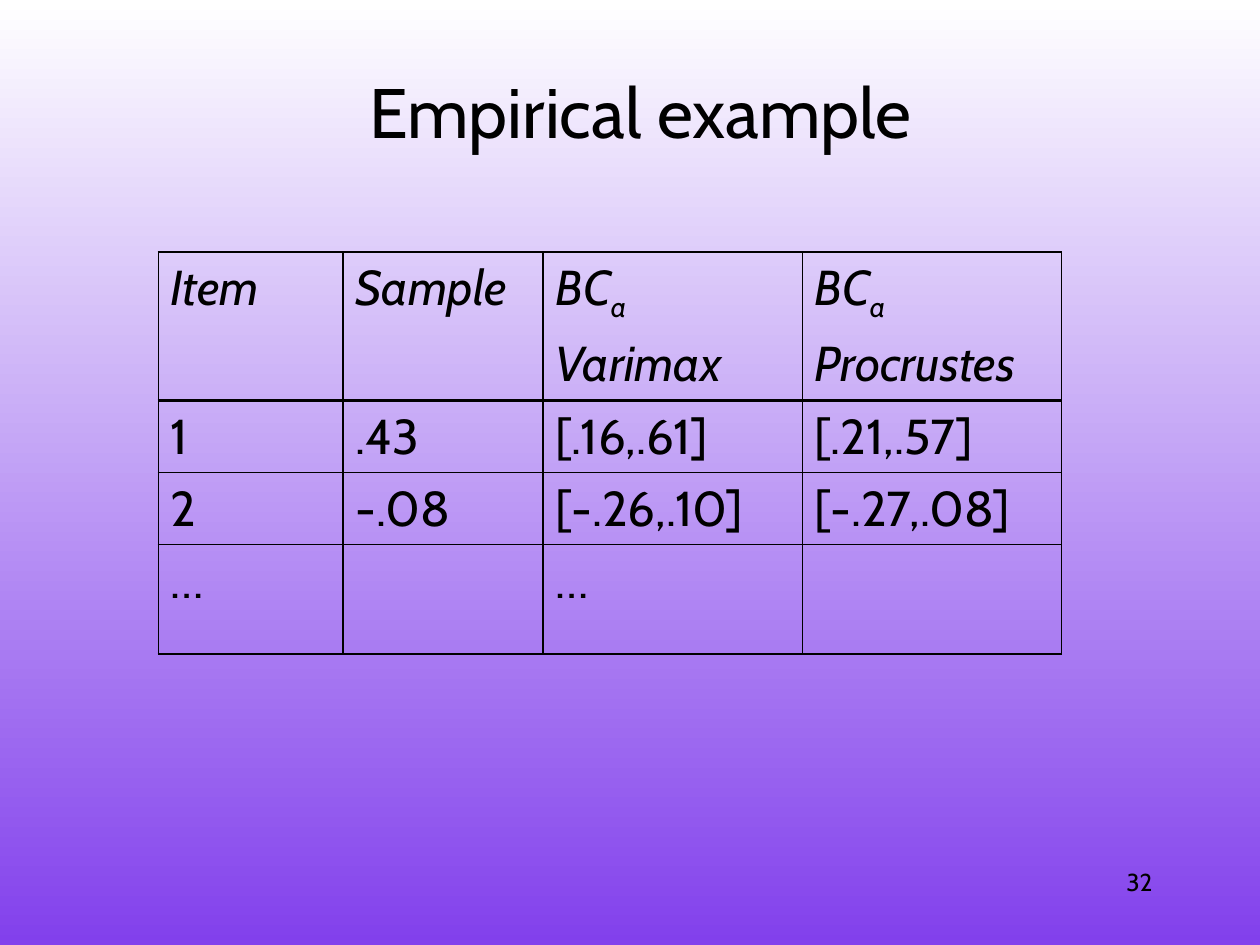
from lxml import etree
from pptx import Presentation
from pptx import util as u
from pptx.dml.color import RGBColor
from pptx.enum import text
from pptx.oxml.ns import qn

PX = u.Inches(1) // 126
FONT, INK = "Cabin", "000000"
SKY = ("FFFFFF", "8240EC")
TITLE, PAGE = "Empirical example", "32"

# Each cell lists its paragraphs, each paragraph its (text, subscript) parts.
HEAD = [
    [("Item", "")],
    [("Sample", "")],
    [("BC", "a"), ("Varimax", "")],
    [("BC", "a"), ("Procrustes", "")],
]
BODY = [
    ["1", ".43", "[.16,.61]", "[.21,.57]"],
    ["2", "-.08", "[-.26,.10]", "[-.27,.08]"],
    ["…", "", "…", ""],
]
ROWS = [HEAD] + [[[(word, "")] for word in row] for row in BODY]
COLS = [185, 200, 259, 259]
HIGHS = [141, 72, 72, 109]
# Line widths in points, one for each grid line
DOWN = [0.34, 1.47, 1.47, 0.34, 0.34]
ACROSS = [0.96, 1.47, 0.34, 0.45, 0.96]


def hue(code):
    return RGBColor.from_string(code)


def box(*sides):
    return [side * PX for side in sides]


def style(para, size, italic=False):
    font = para.font
    font.name, font.size, font.italic = FONT, u.Pt(size), italic
    font.color.rgb = hue(INK)


def border(cell, side, width):
    line = etree.SubElement(cell._tc.get_or_add_tcPr(), qn("a:ln" + side),
                            w=str(u.Pt(width)))
    fill = etree.SubElement(line, qn("a:solidFill"))
    etree.SubElement(fill, qn("a:srgbClr"), val=INK)


def write(cell, lines, italic):
    frame = cell.text_frame
    for i, (word, sub) in enumerate(lines):
        para = frame.add_paragraph() if i else frame.paragraphs[0]
        style(para, 28, italic)
        if i:
            para.space_before = u.Pt(5.6)
        if word:
            para.add_run().text = word
        if sub:
            run = para.add_run()
            run.text = sub
            run._r.get_or_add_rPr().set("baseline", "-25000")


def main():
    deck = Presentation()
    deck.slide_width, deck.slide_height = box(1260, 945)
    slide = deck.slides.add_slide(deck.slide_layouts[5])

    back = slide.background.fill
    back.gradient()
    back.gradient_angle = 270
    for stop, code in zip(back.gradient_stops, SKY):
        stop.color.rgb = hue(code)

    title = slide.shapes.title
    title.left, title.top, title.width, title.height = box(105, 32, 1071, 157)
    title.text_frame.text = TITLE
    title.text_frame.vertical_anchor = text.MSO_ANCHOR.MIDDLE
    para = title.text_frame.paragraphs[0]
    para.alignment = text.PP_ALIGN.CENTER
    style(para, 40)

    table = slide.shapes.add_table(
        len(ROWS), len(COLS), *box(158, 252, sum(COLS), sum(HIGHS))).table
    table.first_row = table.horz_banding = False
    for col, wide in zip(table.columns, COLS):
        col.width = wide * PX
    for r, (row, high) in enumerate(zip(ROWS, HIGHS)):
        table.rows[r].height = high * PX
        for c, lines in enumerate(row):
            cell = table.cell(r, c)
            write(cell, lines, italic=r == 0)
            edges = DOWN[c], DOWN[c + 1], ACROSS[r], ACROSS[r + 1]
            for side, width in zip("LRTB", edges):
                border(cell, side, width)
            cell.fill.background()

    page = slide.shapes.add_textbox(*box(903, 861, 262, 63)).text_frame
    page.word_wrap = True
    page.text = PAGE
    para = page.paragraphs[0]
    para.alignment = text.PP_ALIGN.RIGHT
    style(para, 14)

    deck.save("out.pptx")


if __name__ == "__main__":
    main()
